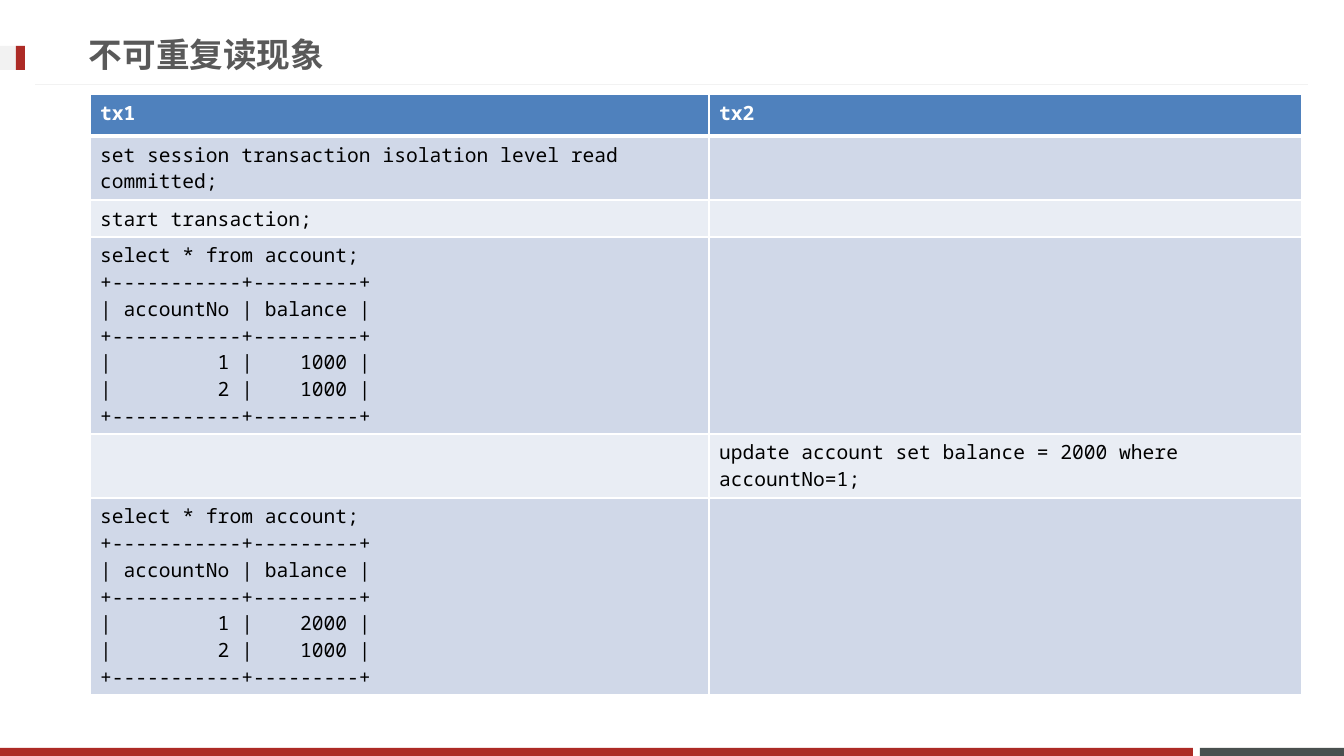
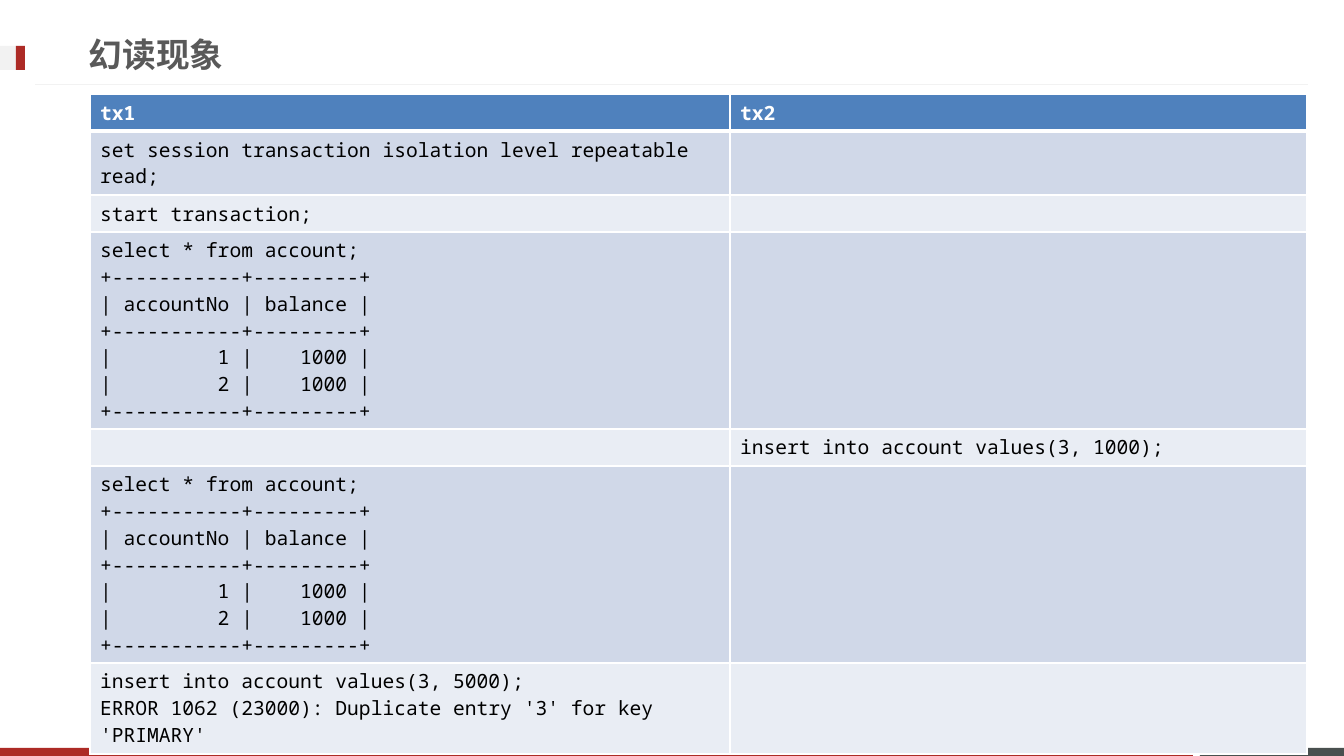
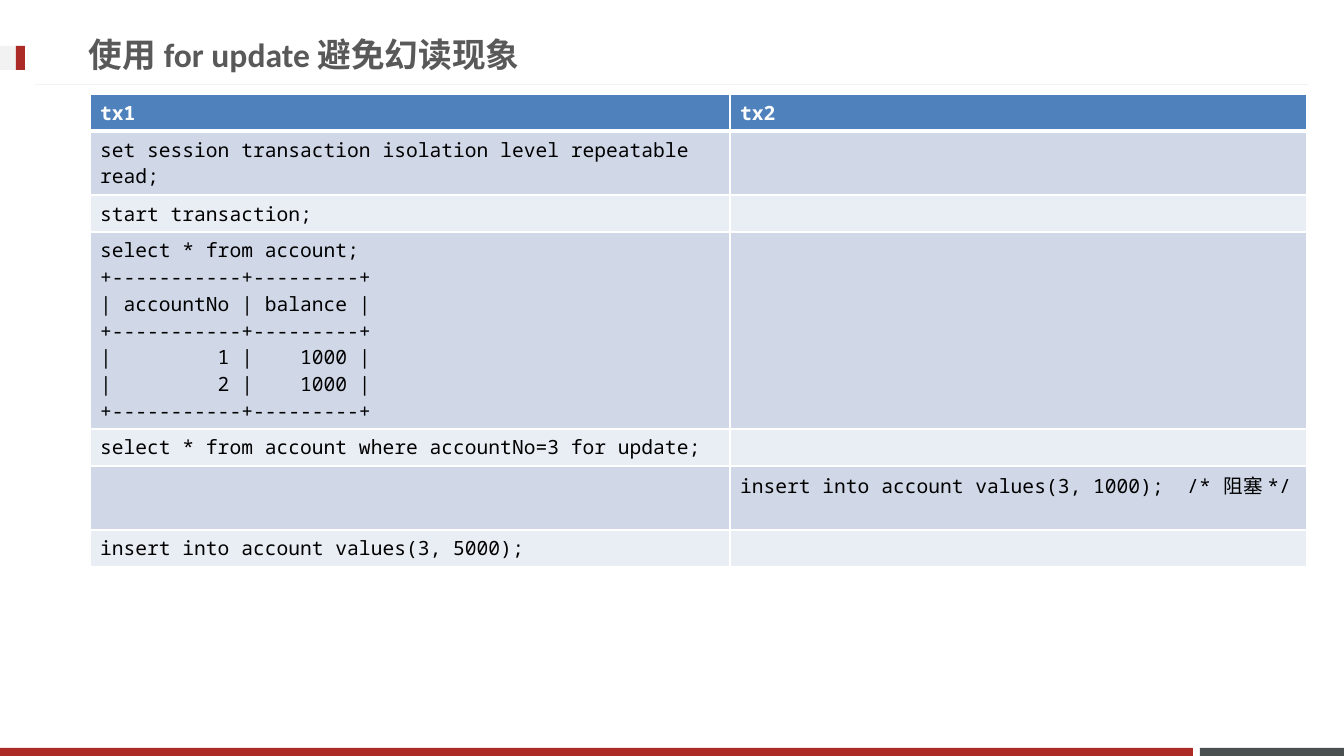
"""Build three slides on non-repeatable and phantom reads in SQL transactions."""
from dataclasses import dataclass

from lxml import etree
from pptx import Presentation
from pptx.dml.color import RGBColor
from pptx.enum.shapes import MSO_CONNECTOR, MSO_SHAPE
from pptx.enum.text import MSO_ANCHOR
from pptx.oxml.ns import qn
from pptx.util import Pt

RECTANGLE = MSO_SHAPE.RECTANGLE
STRAIGHT = MSO_CONNECTOR.STRAIGHT
MIDDLE = MSO_ANCHOR.MIDDLE

EMU_PER_PX = 914400 / 100.8
SLIDE_WIDTH, SLIDE_HEIGHT = 1344, 756
TABLE_LEFT, TABLE_TOP = 90, 94
ONE_LINE, TWO_LINES, THREE_LINES, SEVEN_LINES = 37, 64, 91, 197
TITLE_FONT, TITLE_SIZE = "Calibri", 24
CODE_FONT, CODE_SIZE = "Noto Sans Mono", 14
THIN_BORDER, HEADER_BORDER = 1, 3

COLORS = {
    "red": "AD2B26",
    "slate": "49504F",
    "pale": "F2F2F2",
    "title": "595959",
    "header": "4F81BD",
    "odd_row": "D0D8E8",
    "even_row": "E9EDF4",
    "white": "FFFFFF",
    "black": "000000",
}


@dataclass(frozen=True)
class Bar:
    left: int
    top: int
    width: int
    height: int
    color: str


@dataclass(frozen=True)
class Step:
    height: int
    tx1: str = ""
    tx2: str = ""


@dataclass(frozen=True)
class Scenario:
    title: str
    column_widths: tuple[int, int]
    header_height: int
    steps: tuple[Step, ...]


BARS = (
    Bar(1200, 748, 144, 8, "slate"),
    Bar(0, 748, 1193, 8, "red"),
    Bar(0, 46, 25, 24, "pale"),
    Bar(16, 46, 9, 24, "red"),
)


def select_accounts(first_balance: int) -> str:
    """Return the account query with its printed result."""
    rule = "+-----------+---------+"
    records = [f"| {number:>9} | {balance:>7} |"
               for number, balance in ((1, first_balance), (2, 1000))]
    return "\n".join(["select * from account;", rule, "| accountNo | balance |",
                      rule, *records, rule])


START = Step(ONE_LINE, "start transaction;")
FIRST_READ = Step(SEVEN_LINES, select_accounts(1000))
REPEATABLE_OPENING = (
    Step(TWO_LINES, "set session transaction isolation level repeatable read;"),
    START,
    FIRST_READ,
)

SCENARIOS = (
    Scenario("不可重复读现象", (619, 593), 42, (
        Step(TWO_LINES, "set session transaction isolation level read committed;"),
        START,
        FIRST_READ,
        Step(TWO_LINES, tx2="update account set balance = 2000 where accountNo=1;"),
        Step(SEVEN_LINES, select_accounts(2000)),
    )),
    Scenario("幻读现象", (640, 577), 37, (
        *REPEATABLE_OPENING,
        Step(ONE_LINE, tx2="insert into account values(3, 1000);"),
        FIRST_READ,
        Step(THREE_LINES, "insert into account values(3, 5000);\n"
                          "ERROR 1062 (23000): Duplicate entry '3' for key 'PRIMARY'"),
    )),
    Scenario("使用 for update 避免幻读现象", (640, 577), 37, (
        *REPEATABLE_OPENING,
        Step(ONE_LINE, "select * from account where accountNo=3 for update;"),
        Step(TWO_LINES, tx2="insert into account values(3, 1000);  /* 阻塞 */"),
        Step(ONE_LINE, "insert into account values(3, 5000);"),
    )),
)


def px(length: int) -> int:
    """Convert pixels to EMU."""
    return round(length * EMU_PER_PX)


def rgb(name: str) -> RGBColor:
    """Return a named colour."""
    return RGBColor.from_string(COLORS[name])


def format_text(text_frame, font_name: str, size: int, color: str, bold: bool) -> None:
    """Apply one style to every run of a text frame."""
    for paragraph in text_frame.paragraphs:
        for run in paragraph.runs:
            run.font.name = font_name
            run.font.size = Pt(size)
            run.font.bold = bold
            run.font.color.rgb = rgb(color)


def add_bar(slide, bar: Bar) -> None:
    """Draw a plain filled rectangle."""
    shape = slide.shapes.add_shape(
        RECTANGLE, px(bar.left), px(bar.top), px(bar.width), px(bar.height))
    shape.shadow.inherit = False
    shape.fill.solid()
    shape.fill.fore_color.rgb = rgb(bar.color)
    shape.line.fill.background()


def add_frame(slide, title: str) -> None:
    """Draw the bands, title rule and title that all slides share."""
    for bar in BARS:
        add_bar(slide, bar)
    title_rule = slide.shapes.add_connector(STRAIGHT, px(1308), px(85), px(35), px(85))
    title_rule.line.color.rgb = rgb("pale")
    title_rule.line.width = Pt(0.75)
    etree.SubElement(title_rule._element.spPr, qn("a:effectLst"))
    text_frame = slide.shapes.add_textbox(px(79), px(26), px(967), px(57)).text_frame
    text_frame.word_wrap = True
    text_frame.vertical_anchor = MIDDLE
    text_frame.text = title
    format_text(text_frame, TITLE_FONT, TITLE_SIZE, "title", True)


def set_borders(cell, top: int, bottom: int) -> None:
    """Give a cell white borders of the given widths in points."""
    properties = cell._tc.get_or_add_tcPr()
    widths = {"lnL": THIN_BORDER, "lnR": THIN_BORDER, "lnT": top, "lnB": bottom}
    for tag, width in widths.items():
        line = etree.SubElement(properties, qn(f"a:{tag}"), w=str(Pt(width)))
        fill = etree.SubElement(line, qn("a:solidFill"))
        etree.SubElement(fill, qn("a:srgbClr"), val=COLORS["white"])


def fill_cell(cell, text: str, row_index: int) -> None:
    """Write and style one table cell according to its row."""
    is_header = row_index == 0
    set_borders(cell,
                HEADER_BORDER if row_index == 1 else THIN_BORDER,
                HEADER_BORDER if is_header else THIN_BORDER)
    row_color = "header" if is_header else "odd_row" if row_index % 2 else "even_row"
    cell.fill.solid()
    cell.fill.fore_color.rgb = rgb(row_color)
    if text:
        cell.text_frame.text = text
        format_text(cell.text_frame, CODE_FONT, CODE_SIZE,
                    "white" if is_header else "black", is_header)
    else:
        paragraph = cell.text_frame.paragraphs[0]
        ending = etree.SubElement(paragraph._p, qn("a:endParaRPr"), sz=str(CODE_SIZE * 100))
        etree.SubElement(ending, qn("a:latin"), typeface=CODE_FONT)


def add_timeline(slide, scenario: Scenario) -> None:
    """Draw the table that sets both transactions side by side."""
    rows = (Step(scenario.header_height, "tx1", "tx2"), *scenario.steps)
    table = slide.shapes.add_table(
        len(rows), 2, px(TABLE_LEFT), px(TABLE_TOP),
        px(sum(scenario.column_widths)), px(sum(step.height for step in rows))).table
    for column, width in zip(table.columns, scenario.column_widths):
        column.width = px(width)
    for row_index, step in enumerate(rows):
        table.rows[row_index].height = px(step.height)
        for column_index, text in enumerate((step.tx1, step.tx2)):
            fill_cell(table.cell(row_index, column_index), text, row_index)


def main() -> None:
    """Build and save the presentation."""
    presentation = Presentation()
    presentation.slide_width = px(SLIDE_WIDTH)
    presentation.slide_height = px(SLIDE_HEIGHT)
    blank_layout = presentation.slide_layouts[6]
    for scenario in SCENARIOS:
        slide = presentation.slides.add_slide(blank_layout)
        add_frame(slide, scenario.title)
        add_timeline(slide, scenario)
    presentation.save("out.pptx")


if __name__ == "__main__":
    main()
